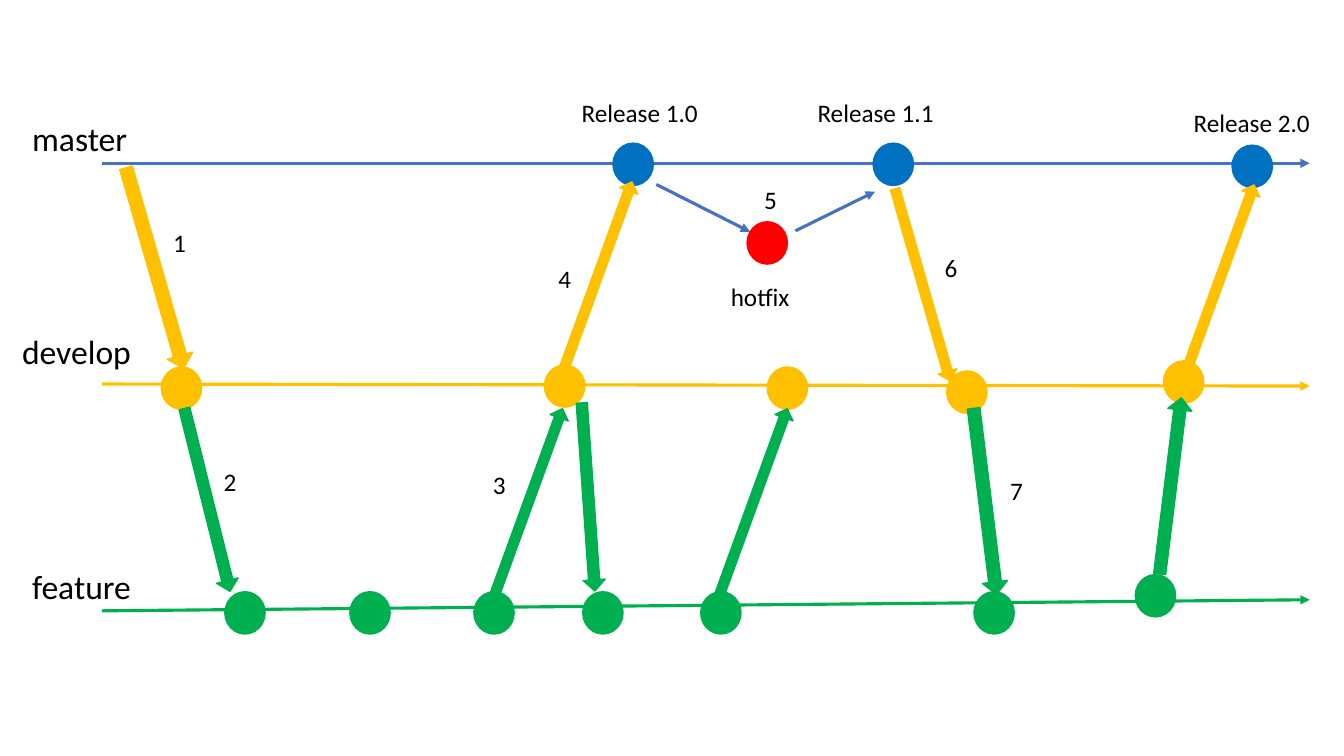
from lxml.etree import SubElement
from pptx import Presentation
from pptx.dml.color import RGBColor
from pptx.enum.shapes import MSO_CONNECTOR, MSO_SHAPE
from pptx.enum.text import MSO_AUTO_SIZE
from pptx.oxml.ns import qn
from pptx.util import Emu, Pt

EMU_PER_PX = 9144
COLORS = {
    "line": "4472C4",
    "master": "0070C0",
    "develop": "FFC000",
    "feature": "00B050",
    "hotfix": "FF0000",
    "text": "000000",
}
COMMIT_WIDTH, COMMIT_HEIGHT = 40, 42

TIMELINES = [
    ("line", (101, 162), (1299, 162)),
    ("develop", (101, 381), (1299, 383)),
    ("feature", (101, 606), (1299, 595)),
]
HOTFIX_LINES = [
    ("line", (651, 183), (744, 230)),
    ("line", (789, 229), (868, 190)),
]
COMMITS = {
    "master": [(608, 142), (866, 142), (1222, 144)],
    "develop": [(160, 364), (540, 362), (761, 364), (939, 368), (1154, 358)],
    "feature": [(223, 587), (347, 587), (470, 587), (578, 587), (695, 587),
                (966, 587), (1126, 570)],
    "hotfix": [(741, 220)],
}
MERGES = {
    "develop": [(50, 253, 207, 26, 74), (494, 264, 198, 19, 290),
                (816, 273, 198, 19, 74), (1111, 267, 198, 19, 290)],
    "feature": [(112, 485, 187, 22, 76), (425, 489, 198, 19, 290),
                (490, 482, 187, 22, 86), (648, 489, 198, 19, 290),
                (884, 485, 186, 25, 83), (1073, 470, 176, 24, 277)],
}
BRANCH_NAMES = [("master", 22, 112), ("develop", 12, 323), ("feature", 22, 557)]
RELEASES = [("Release 1.0", 567, 92), ("Release 1.1", 801, 92), ("Release 2.0", 1174, 102)]
STEPS = [(162, 221), (212, 458), (479, 461), (544, 256), (748, 178), (927, 245), (992, 467)]


def px(value):
    return Emu(value * EMU_PER_PX)


def color(name):
    return RGBColor.from_string(COLORS[name])


def add_line(slide, color_name, start, end):
    connector = slide.shapes.add_connector(
        MSO_CONNECTOR.STRAIGHT, *map(px, start + end))
    connector.line.color.rgb = color(color_name)
    connector.line.width = Pt(2.25)
    SubElement(connector.line._get_or_add_ln(), qn("a:tailEnd"), type="triangle")
    SubElement(connector._element.spPr, qn("a:effectLst"))


def add_filled_shape(slide, kind, color_name, left, top, width, height, rotation=0):
    shape = slide.shapes.add_shape(kind, px(left), px(top), px(width), px(height))
    shape.rotation = rotation
    shape.shadow.inherit = False
    shape.fill.solid()
    shape.fill.fore_color.rgb = color(color_name)
    shape.line.color.rgb = color(color_name)
    shape.line.width = Pt(1)


def add_label(slide, text, left, top, width, height, size=18):
    box = slide.shapes.add_textbox(px(left), px(top), px(width), px(height))
    frame = box.text_frame
    frame.word_wrap = True
    frame.auto_size = MSO_AUTO_SIZE.SHAPE_TO_FIT_TEXT
    run = frame.paragraphs[0].add_run()
    run.text = text
    run.font.name = "Calibri"
    run.font.size = Pt(size)
    run.font.color.rgb = color("text")


def main():
    presentation = Presentation()
    presentation.slide_width = px(1333)
    presentation.slide_height = px(750)
    slide = presentation.slides.add_slide(presentation.slide_layouts[6])

    for line in TIMELINES + HOTFIX_LINES:
        add_line(slide, *line)
    for branch, positions in COMMITS.items():
        for left, top in positions:
            add_filled_shape(slide, MSO_SHAPE.OVAL, branch, left, top,
                             COMMIT_WIDTH, COMMIT_HEIGHT)
    for branch, arrows in MERGES.items():
        for arrow in arrows:
            add_filled_shape(slide, MSO_SHAPE.RIGHT_ARROW, branch, *arrow)

    for name, left, top in BRANCH_NAMES:
        add_label(slide, name, left, top, 159, 50, size=24)
    for name, left, top in RELEASES:
        add_label(slide, name, left, top, 138, 40)
    add_label(slide, "hotfix", 715, 274, 80, 40)
    for number, (left, top) in enumerate(STEPS, start=1):
        add_label(slide, str(number), left, top, 33, 42)

    presentation.save("out.pptx")


if __name__ == "__main__":
    main()
